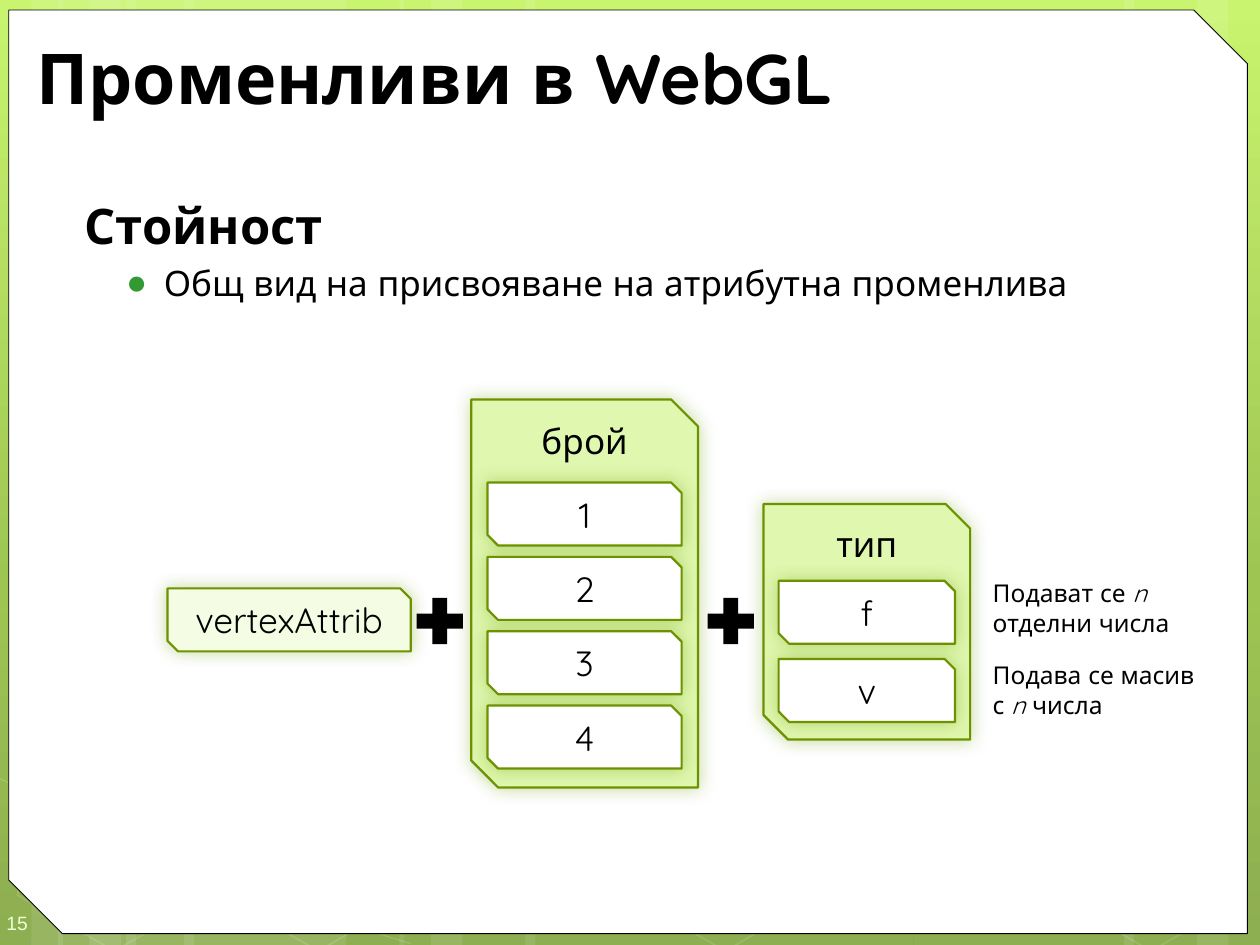
from lxml import etree
from pptx import Presentation
from pptx.dml.color import RGBColor
from pptx.enum.shapes import MSO_SHAPE
from pptx.enum.text import MSO_ANCHOR, MSO_AUTO_SIZE, PP_ALIGN
from pptx.oxml import parse_xml
from pptx.oxml.ns import nsdecls, qn
from pptx.util import Inches, Pt

RECTANGLE = MSO_SHAPE.RECTANGLE
HEXAGON = MSO_SHAPE.HEXAGON
SNIPPED = MSO_SHAPE.SNIP_2_DIAG_RECTANGLE
PLUS = MSO_SHAPE.MATH_PLUS
LEFT, CENTER = PP_ALIGN.LEFT, PP_ALIGN.CENTER
TOP, MIDDLE = MSO_ANCHOR.TOP, MSO_ANCHOR.MIDDLE
NO_AUTOFIT = MSO_AUTO_SIZE.NONE

FONT = "Quicksand"
COLORS = {
    "white": "FFFFFF", "black": "000000", "number": "EEFFD6",
    "bullet": "339933", "panel": "DFF7AE", "function": "F4FCE4",
    "border": "6D9200", "glow": "74A510",
}
BACKGROUND_STOPS = [(0, "C3F35F"), (62, "93BF3F"), (100, "81A53E")]
# Left edge and width of the full-height translucent bands
STRIPES = [
    (1, 1.75), (0, 0.5), (0.25, 0.83), (1.46, 1.75), (0.46, 0.5), (0.71, 0.83),
    (7.25, 1.75), (9.5, 0.5), (8.92, 0.83), (4.17, 3.08), (3.17, 0.5), (3.42, 0.83),
]
CELL_HEIGHT = 0.5


def rgb(name):
    return RGBColor.from_string(COLORS[name])


def set_alpha(fill_parent, percent):
    color = next(fill_parent.iter(qn("a:srgbClr")))
    etree.SubElement(color, qn("a:alpha")).set("val", str(percent * 1000))


def style(shape, fill=None, line=None, line_width=1.0):
    shape.shadow.inherit = False
    if fill:
        shape.fill.solid()
        shape.fill.fore_color.rgb = rgb(fill)
    else:
        shape.fill.background()
    if line:
        shape.line.color.rgb = rgb(line)
        shape.line.width = Pt(line_width)
    else:
        shape.line.fill.background()


def add_box(slide, kind, box, **look):
    shape = slide.shapes.add_shape(kind, *map(Inches, box))
    style(shape, **look)
    return shape


def set_font(paragraph, size, color="black", name=FONT, bold=False):
    font = paragraph.font
    font.name, font.size, font.bold = name, Pt(size), bold
    font.color.rgb = rgb(color)


def set_indent(paragraph, left, first=0):
    properties = paragraph._p.get_or_add_pPr()
    properties.set("marL", str(Inches(left)))
    properties.set("indent", str(Inches(first)))
    return properties


def place(shape, box):
    shape.left, shape.top, shape.width, shape.height = map(Inches, box)


def add_background(slide):
    # Vertical green gradient
    slide.background.fill.solid()
    solid = slide._element.find(".//" + qn("p:bgPr")).find(qn("a:solidFill"))
    stops = "".join(f'<a:gs pos="{position * 1000}"><a:srgbClr val="{color}"/></a:gs>'
                    for position, color in BACKGROUND_STOPS)
    solid.getparent().replace(solid, parse_xml(
        f'<a:gradFill {nsdecls("a")}><a:gsLst>{stops}</a:gsLst>'
        '<a:lin ang="5400000" scaled="0"/></a:gradFill>'))

    # Translucent bands
    for left, width in STRIPES:
        stripe = add_box(slide, RECTANGLE, (left, 0, width, 7.5), fill="white")
        set_alpha(stripe._element.spPr, 10)

    # Hexagons and curve along the lower edge
    for left in (0.03, 1.65, 4.88, 8.26):
        hexagon = add_box(slide, HEXAGON, (left, 5.91, 1.75, 1.52), line="white")
        hexagon.adjustments[0] = 0.285
        hexagon.rotation = 30
        set_alpha(hexagon.line._get_or_add_ln(), 12)
    builder = slide.shapes.build_freeform(Inches(0), Inches(6.18))
    points = [(0.8, 6.55), (1.6, 6.9), (2.4, 7.22), (3.26, 7.49)]
    builder.add_line_segments([(Inches(x), Inches(y)) for x, y in points], close=False)
    curve = builder.convert_to_shape()
    style(curve, line="white", line_width=0.5)
    set_alpha(curve.line._get_or_add_ln(), 20)

    # White page with two snipped corners
    page = add_box(slide, SNIPPED, (0.07, 0.08, 9.83, 7.33),
                   fill="white", line="black", line_width=0.5)
    page.adjustments[1] = 0.058


def add_page_number(slide, box, number):
    frame = slide.shapes.add_textbox(*map(Inches, box)).text_frame
    frame.margin_left, frame.margin_right = Inches(0.05), 0
    frame.margin_top, frame.margin_bottom = Inches(0.15), Inches(0.1)
    frame.vertical_anchor = MIDDLE
    frame.word_wrap = True
    paragraph = frame.paragraphs[0]
    paragraph.text = number
    set_font(paragraph, 11, "number", "Arial")


def fill_title(slide, box, text):
    title = slide.shapes.title
    place(title, box)
    frame = title.text_frame
    frame.text = text
    frame.auto_size = NO_AUTOFIT
    frame.vertical_anchor = MIDDLE
    paragraph = frame.paragraphs[0]
    paragraph.alignment = LEFT
    set_font(paragraph, 40, bold=True)
    slide.shapes._spTree.append(title._element)


def fill_body(slide, box, heading_text, item_text):
    body = slide.placeholders[1]
    place(body, box)
    frame = body.text_frame
    frame.auto_size = NO_AUTOFIT
    heading, item = frame.paragraphs[0], frame.add_paragraph()
    heading.text, item.text = heading_text, item_text
    heading.space_before = Pt(0)
    etree.SubElement(set_indent(heading, 0.07), qn("a:buNone"))
    set_font(heading, 28, bold=True)

    item.level = 1
    item.space_before = Pt(4)
    properties = set_indent(item, 0.7, -0.3)
    bullet_color = etree.SubElement(properties, qn("a:buClr"))
    etree.SubElement(bullet_color, qn("a:srgbClr")).set("val", COLORS["bullet"])
    etree.SubElement(properties, qn("a:buFont")).set("typeface", "Arial")
    etree.SubElement(properties, qn("a:buChar")).set("char", "●")
    set_font(item, 20)
    slide.shapes._spTree.append(body._element)


def add_card(slide, box, text, fill="white", anchor=MIDDLE, wrap=True):
    card = add_box(slide, SNIPPED, box, fill=fill, line="border", line_width=1.25)
    card._element.spPr.find(qn("a:effectLst")).append(parse_xml(
        f'<a:outerShdw {nsdecls("a")} blurRad="{Pt(10)}" dist="0" dir="2700000" '
        f'rotWithShape="0"><a:srgbClr val="{COLORS["glow"]}">'
        '<a:alpha val="40000"/></a:srgbClr></a:outerShdw>'))
    frame = card.text_frame
    frame.margin_left = frame.margin_right = 0
    frame.vertical_anchor = anchor
    frame.word_wrap = wrap
    paragraph = frame.paragraphs[0]
    paragraph.text = text
    paragraph.alignment = CENTER
    set_font(paragraph, 20)
    return card


def add_choice_panel(slide, box, label, choices, first_top, pitch, cell_width):
    left, top, width, _ = box
    panel = add_card(slide, box, label, fill="panel", anchor=TOP)
    panel.adjustments[1] = 0.119
    cell_left = left + (width - cell_width) / 2
    for index, choice in enumerate(choices):
        cell_top = top + first_top + index * pitch
        add_card(slide, (cell_left, cell_top, cell_width, CELL_HEIGHT), choice)


def add_note(slide, box, before, after):
    frame = slide.shapes.add_textbox(*map(Inches, box)).text_frame
    frame.word_wrap = True
    paragraph = frame.paragraphs[0]
    set_indent(paragraph, 0.07)
    for text, italic in ((before, False), ("n", True), (after, False)):
        run = paragraph.add_run()
        run.text = text
        run.font.italic = italic
    set_font(paragraph, 14)


def main():
    presentation = Presentation()
    presentation.slide_width, presentation.slide_height = Inches(10), Inches(7.5)
    slide = presentation.slides.add_slide(presentation.slide_layouts[1])

    add_background(slide)
    add_page_number(slide, (0, 7.1, 0.58, 0.4), "15")
    fill_title(slide, (0.19, 0.25, 9.47, 0.71), "Променливи в WebGL")
    fill_body(slide, (0.5, 1.5, 9.42, 5.92), "Стойност",
              "Общ вид на присвояване на атрибутна променлива")

    # Function name = prefix + count + type
    add_card(slide, (1.33, 4.67, 1.93, CELL_HEIGHT), "vertexAttrib",
             fill="function", wrap=False)
    add_choice_panel(slide, (3.74, 3.17, 1.8, 3.08), "брой", "1234", 0.66, 0.59, 1.54)
    add_choice_panel(slide, (6.06, 4, 1.64, 1.87), "тип", "fv", 0.61, 0.62, 1.4)
    for left in (3.24, 5.55):
        add_box(slide, PLUS, (left, 4.68, 0.5, 0.5), fill="black")

    # Meaning of each type
    add_note(slide, (7.71, 4.54, 1.79, 0.57), "Подават се ", " отделни числа")
    add_note(slide, (7.71, 5.19, 1.95, 0.57), "Подава се масив с ", " числа")

    presentation.save("out.pptx")


if __name__ == "__main__":
    main()
